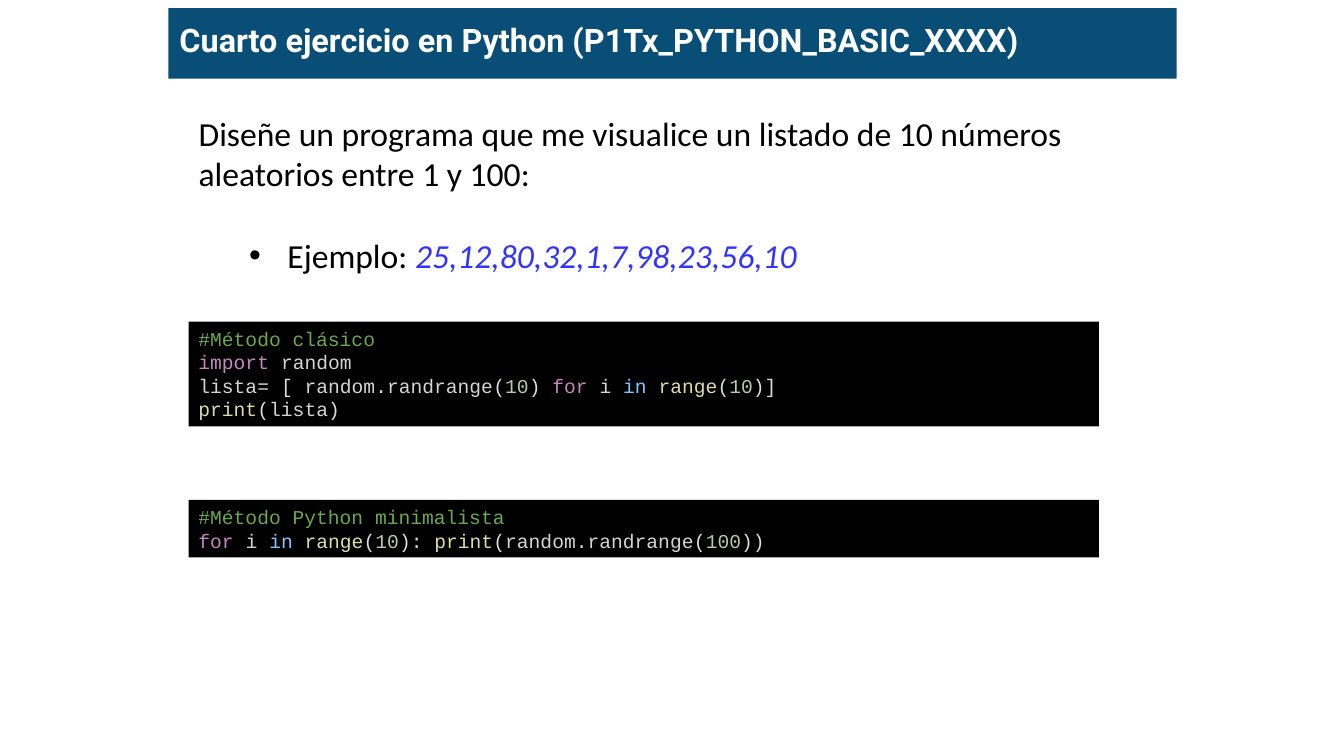
from dataclasses import dataclass

from lxml.etree import SubElement
from pptx import Presentation
from pptx.dml.color import RGBColor
from pptx.enum.shapes import MSO_SHAPE
from pptx.enum.text import MSO_ANCHOR, MSO_AUTO_SIZE, PP_ALIGN
from pptx.oxml.ns import qn
from pptx.util import Inches, Pt


@dataclass(frozen=True)
class Theme:
    banner: str = "094E76"
    white: str = "FFFFFF"
    black: str = "000000"
    example: str = "3333FF"
    comment: str = "6AA94F"
    keyword: str = "C586C0"
    operator: str = "82C6FF"
    function: str = "DCDCAA"
    number: str = "B5CEA8"
    name: str = "D4D4D4"
    bracket: str = "DCDCDC"
    title_font: str = "Roboto"
    body_font: str = "Calibri"
    code_font: str = "Courier New"
    title_size: float = 23.1
    body_size: float = 24
    code_size: float = 14


T = Theme()


def add_run(p, text, font=T.body_font, size=T.body_size, color=T.black,
            bold=False, italic=False):
    r = p.add_run()
    r.text = text
    r.font.name = font
    r.font.size = Pt(size)
    r.font.bold = bold
    r.font.italic = italic
    r.font.color.rgb = RGBColor.from_string(color)


prs = Presentation()
prs.slide_width, prs.slide_height = Inches(13.33), Inches(7.5)
slide = prs.slides.add_slide(prs.slide_layouts[1])

title = slide.shapes.title
title.left, title.top = Inches(1.67), Inches(0.08)
title.width, title.height = Inches(10), Inches(0.7)
title.fill.solid()
title.fill.fore_color.rgb = RGBColor.from_string(T.banner)
tf = title.text_frame
tf.auto_size = MSO_AUTO_SIZE.NONE
tf.vertical_anchor = MSO_ANCHOR.MIDDLE
tf.margin_left = tf.margin_right = Inches(0.11)
tf.margin_top = tf.margin_bottom = Inches(0.06)
p = tf.paragraphs[0]
p.alignment = PP_ALIGN.LEFT
p.line_spacing = 0.8
add_run(p, "Cuarto ejercicio en Python (P1Tx_PYTHON_BASIC_XXXX)",
        font=T.title_font, size=T.title_size, color=T.white, bold=True)

body = slide.placeholders[1]
body.left, body.top = Inches(1.87), Inches(1.07)
body.width, body.height = Inches(9.59), Inches(2.12)
tf = body.text_frame
tf.auto_size = MSO_AUTO_SIZE.NONE
tf.vertical_anchor = MSO_ANCHOR.TOP

p = tf.paragraphs[0]
pPr = p._p.get_or_add_pPr()
pPr.set("marL", "0")
pPr.set("indent", "0")
SubElement(pPr, qn("a:buNone"))
p.space_before = Pt(0)
add_run(p, "Diseñe un programa que me visualice un listado de 10 números "
           "aleatorios entre 1 y 100:")

p = tf.add_paragraph()
p.level = 1
pPr = p._p.get_or_add_pPr()
pPr.set("marL", str(Inches(0.88)))
pPr.set("indent", str(-Inches(0.38)))
SubElement(SubElement(pPr, qn("a:buClr")), qn("a:srgbClr"), val=T.black)
SubElement(pPr, qn("a:buFont"), typeface="Arial")
SubElement(pPr, qn("a:buChar"), char="•")
p.space_before = Pt(29.3)
add_run(p, "Ejemplo: ")
add_run(p, "25,12,80,32,1,7,98,23,56,10", color=T.example, italic=True)

loop = [("for", T.keyword), (" i ", T.name), ("in ", T.operator),
        ("range", T.function), ("(", T.bracket), ("10", T.number)]
classic = [
    [("#Método clásico", T.comment)],
    [("import ", T.keyword), ("random", T.name)],
    [("lista= ", T.name), ("[ ", T.bracket), ("random.randrange", T.name),
     ("(", T.bracket), ("10", T.number), (") ", T.bracket),
     *loop, (")]", T.bracket)],
    [("print", T.function), ("(", T.bracket), ("lista", T.name),
     (")", T.bracket)],
]
minimalist = [
    [("#Método Python minimalista", T.comment)],
    [*loop, ("): ", T.bracket), ("print", T.function), ("(", T.bracket),
     ("random.randrange", T.name), ("(", T.bracket), ("100", T.number),
     ("))", T.bracket)],
]

for top, height, lines in [(3.19, 1.04, classic), (4.96, 0.57, minimalist)]:
    sp = slide.shapes.add_shape(MSO_SHAPE.RECTANGLE, Inches(1.87), Inches(top),
                                Inches(9.03), Inches(height))
    sp.shadow.inherit = False
    sp.fill.solid()
    sp.fill.fore_color.rgb = RGBColor.from_string(T.black)
    sp.line.fill.background()
    tf = sp.text_frame
    tf.word_wrap = True
    tf.vertical_anchor = MSO_ANCHOR.TOP
    for i, line in enumerate(lines):
        p = tf.add_paragraph() if i else tf.paragraphs[0]
        p.alignment = PP_ALIGN.LEFT
        for text, color in line:
            add_run(p, text, font=T.code_font, size=T.code_size, color=color)

prs.save("out.pptx")
